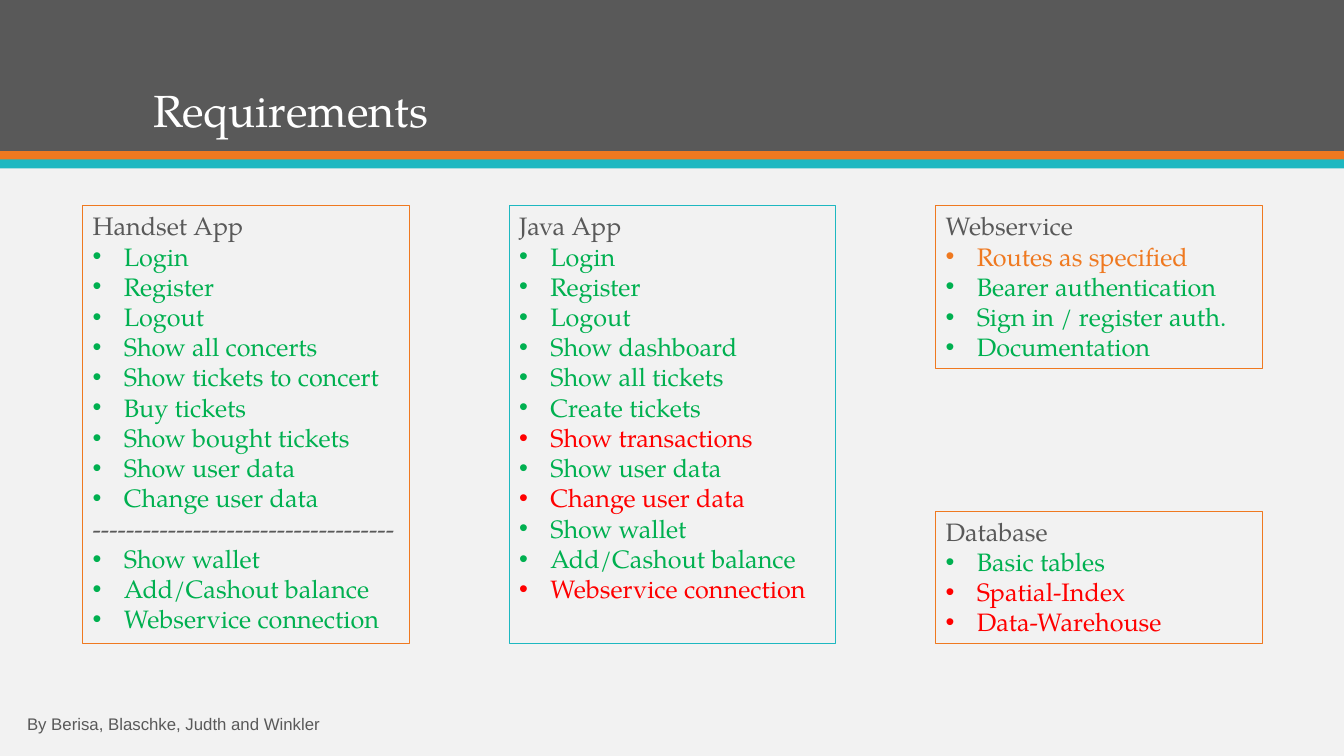
from lxml.etree import SubElement
from pptx import Presentation
from pptx.dml.color import RGBColor
from pptx.enum.shapes import MSO_SHAPE
from pptx.enum.text import MSO_ANCHOR, PP_ALIGN
from pptx.oxml.ns import qn
from pptx.util import Inches, Pt

GREY = RGBColor(0x59, 0x59, 0x59)
PALE = RGBColor(0xF2, 0xF2, 0xF2)
WHITE = RGBColor(0xFF, 0xFF, 0xFF)
ORANGE = RGBColor(0xEF, 0x79, 0x20)
TEAL = RGBColor(0x1E, 0xB8, 0xC1)
GREEN = RGBColor(0x00, 0xB0, 0x50)
RED = RGBColor(0xFF, 0x00, 0x00)
SERIF, SANS = "TeX Gyre Pagella", "Arial"

TITLE = "Requirements"
AUTHORS = "By Berisa, Blaschke, Judth and Winkler"
DIVIDER = "-" * 36

# Top, height, colour
BANDS = [(0, 1.5, GREY), (1.5, 0.09, ORANGE), (1.58, 0.09, TEAL)]

# Column, top, height, outline, heading, items with their status colour
CARDS = [
    (0, 2.04, 4.34, ORANGE, "Handset App", [
        ("Login", GREEN),
        ("Register", GREEN),
        ("Logout", GREEN),
        ("Show all concerts", GREEN),
        ("Show tickets to concert", GREEN),
        ("Buy tickets", GREEN),
        ("Show bought tickets", GREEN),
        ("Show user data", GREEN),
        ("Change user data", GREEN),
        (DIVIDER, GREY),
        ("Show wallet", GREEN),
        ("Add/Cashout balance", GREEN),
        ("Webservice connection", GREEN),
    ]),
    (1, 2.04, 4.34, TEAL, "Java App", [
        ("Login", GREEN),
        ("Register", GREEN),
        ("Logout", GREEN),
        ("Show dashboard", GREEN),
        ("Show all tickets", GREEN),
        ("Create tickets", GREEN),
        ("Show transactions", RED),
        ("Show user data", GREEN),
        ("Change user data", RED),
        ("Show wallet", GREEN),
        ("Add/Cashout balance", GREEN),
        ("Webservice connection", RED),
    ]),
    (2, 2.04, 1.62, ORANGE, "Webservice", [
        ("Routes as specified", ORANGE),
        ("Bearer authentication", GREEN),
        ("Sign in / register auth.", GREEN),
        ("Documentation", GREEN),
    ]),
    (2, 5.07, 1.31, ORANGE, "Database", [
        ("Basic tables", GREEN),
        ("Spatial-Index", RED),
        ("Data-Warehouse", RED),
    ]),
]
CARD_LEFT, CARD_STEP, CARD_WIDTH = 0.82, 4.23, 3.24
INDENT = Inches(0.31)


def add_rect(s, left, top, width, height, fill, line=None):
    sp = s.shapes.add_shape(MSO_SHAPE.RECTANGLE, Inches(left), Inches(top),
                            Inches(width), Inches(height))
    sp.shadow.inherit = False
    sp.fill.solid()
    sp.fill.fore_color.rgb = fill
    if line is None:
        sp.line.fill.background()
    else:
        sp.line.color.rgb = line
        sp.line.width = Pt(0.75)
    return sp


def write(p, text, size, font, color):
    p.alignment = PP_ALIGN.LEFT
    r = p.add_run()
    r.text = text
    r.font.size = Pt(size)
    r.font.name = font
    r.font.color.rgb = color


def add_bullet(p):
    pPr = p._p.get_or_add_pPr()
    pPr.set("marL", str(INDENT))
    pPr.set("indent", str(-INDENT))
    SubElement(pPr, qn("a:buFont"), typeface=SANS)
    SubElement(pPr, qn("a:buChar"), char="•")


def add_text(s, left, top, width, height, anchor, *style):
    """Add a one-paragraph text box; style is text, size, font, colour."""
    box = s.shapes.add_textbox(Inches(left), Inches(top),
                               Inches(width), Inches(height))
    tf = box.text_frame
    tf.word_wrap = True
    tf.vertical_anchor = anchor
    p = tf.paragraphs[0]
    write(p, *style)
    return p


def add_card(s, column, top, height, outline, heading, items):
    sp = add_rect(s, CARD_LEFT + column * CARD_STEP, top, CARD_WIDTH, height,
                  PALE, outline)
    tf = sp.text_frame
    tf.word_wrap = True
    tf.vertical_anchor = MSO_ANCHOR.TOP
    write(tf.paragraphs[0], heading, 18, SERIF, GREY)
    for text, color in items:
        p = tf.add_paragraph()
        write(p, text, 18, SERIF, color)
        if text != DIVIDER:
            add_bullet(p)


def main():
    prs = Presentation()
    prs.slide_width, prs.slide_height = Inches(13.33), Inches(7.5)
    s = prs.slides.add_slide(prs.slide_layouts[6])
    s.background.fill.solid()
    s.background.fill.fore_color.rgb = PALE

    for top, height, color in BANDS:
        add_rect(s, 0, top, 13.33, height, color)
    add_text(s, 0.17, 7.03, 3.57, 0.3, MSO_ANCHOR.TOP, AUTHORS, 12, SANS, GREY)
    title = add_text(s, 1.42, 0.28, 10.5, 1.13, MSO_ANCHOR.BOTTOM,
                     TITLE, 32, SERIF, WHITE)
    title.line_spacing = 0.9
    for card in CARDS:
        add_card(s, *card)
    prs.save("out.pptx")


if __name__ == "__main__":
    main()
